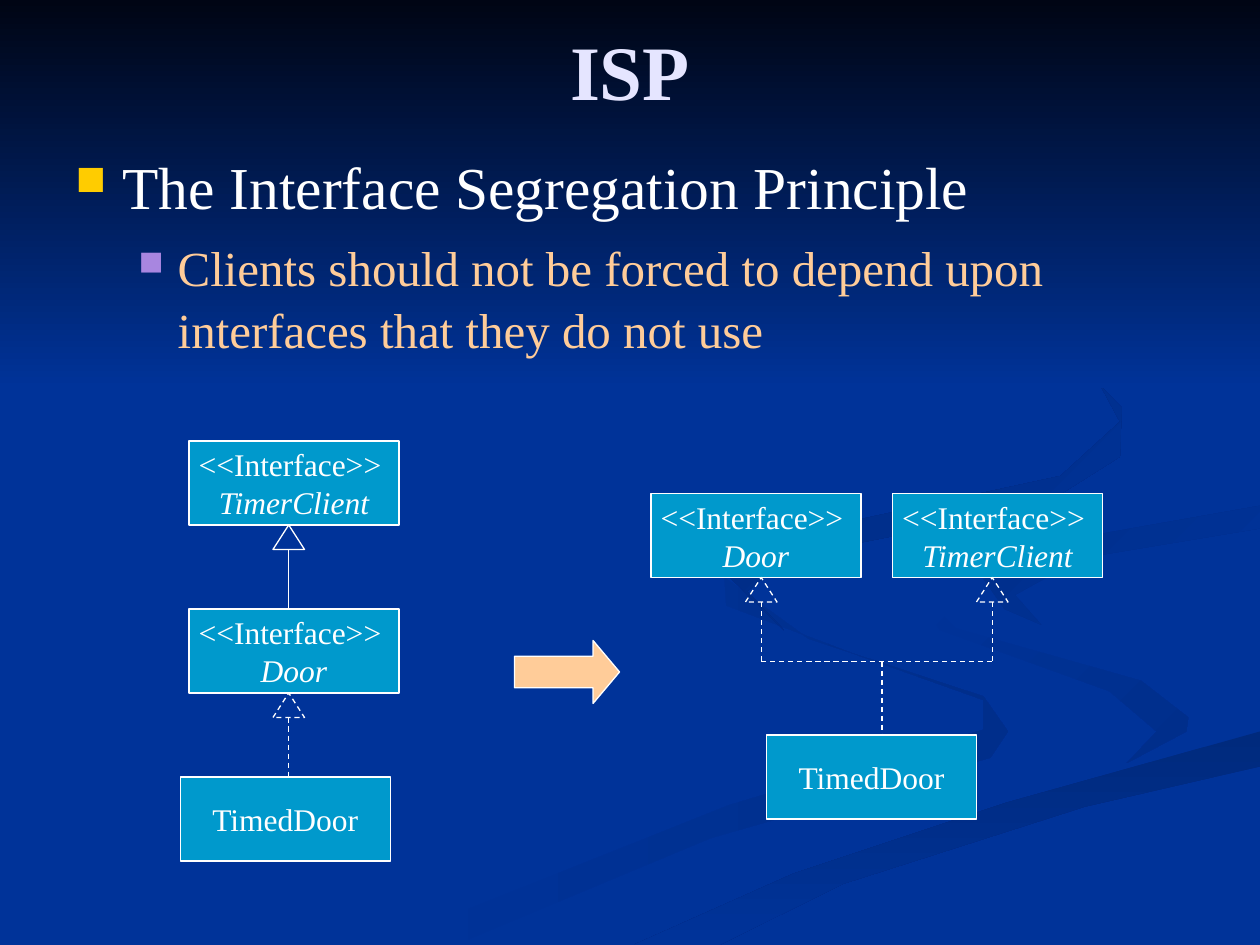
from lxml import etree
from pptx import Presentation
from pptx.dml.color import RGBColor
from pptx.enum.dml import MSO_LINE
from pptx.enum.shapes import MSO_CONNECTOR as CONNECTOR, MSO_SHAPE as SHAPE
from pptx.enum.text import MSO_ANCHOR as ANCHOR, PP_ALIGN as ALIGN
from pptx.oxml.ns import qn
from pptx.util import Pt

THEME = {
    "font": "Times New Roman",
    "background": "003399",
    "night": "000514",
    "ribbon": "002E8B",
    "dark_ribbon": "002A7D",
    "title": "E5E5FF",
    "white": "FFFFFF",
    "box": "0099CC",
    "peach": "FFCC99",
    "gold": "FFCC00",
    "violet": "A886E0",
    "title_size": 44,
    "point_size": 34,
    "detail_size": 28,
    "label_size": 18,
    "line": 0.75,
}


def color(name):
    return RGBColor.from_string(THEME[name])


def style_text(paragraph, size, name):
    for run in paragraph.runs:
        run.font.name = THEME["font"]
        run.font.size = Pt(THEME[size])
        run.font.color.rgb = color(name)


presentation = Presentation()
presentation.slide_width = Pt(720)
presentation.slide_height = Pt(540)
slide = presentation.slides.add_slide(presentation.slide_layouts[5])
shapes = slide.shapes
slide.background.fill.solid()
slide.background.fill.fore_color.rgb = color("background")

ribbons = [
    ("background", "ribbon", 0, [
        (562, 398), (462, 365), (414, 330), (415, 346), (489, 374), (562, 400), (562, 417),
        (417, 460), (216, 540), (260, 540), (406, 479), (566, 433), (576, 418)]),
    ("background", "ribbon", 45, [
        (679, 410), (652, 389), (546, 359), (521, 334), (537, 360), (634, 395), (661, 418),
        (644, 436), (678, 418)]),
    ("dark_ribbon", "background", 90, [
        (362, 540), (411, 540), (482, 505), (620, 461), (720, 438), (720, 418), (574, 459),
        (454, 499)]),
    ("ribbon", "background", 45, [
        (562, 331), (574, 348), (595, 357), (580, 340), (618, 319), (720, 302), (720, 289),
        (601, 310)]),
    ("dark_ribbon", "background", 45, [
        (492, 310), (594, 290), (640, 261), (641, 233), (607, 198), (549, 168), (626, 215),
        (640, 241), (606, 272), (467, 302), (416, 329), (448, 360), (427, 338), (449, 320)]),
    ("night", "background", 90, [(0, 0), (0, 222), (720, 222), (720, 0)]),
]
for start, end, angle, points in ribbons:
    builder = shapes.build_freeform(*points[0], scale=Pt(1))
    builder.add_line_segments(points[1:], close=True)
    ribbon = builder.convert_to_shape()
    ribbon.shadow.inherit = False
    ribbon.line.fill.background()
    ribbon.fill.gradient()
    ribbon.fill.gradient_angle = -angle % 360
    for stop, name, position in zip(ribbon.fill.gradient_stops, (start, end), (0, 1)):
        stop.color.rgb = color(name)
        stop.position = position

title = shapes.title
title.element.getparent().append(title.element)
title.left, title.top, title.width, title.height = Pt(36), Pt(12), Pt(648), Pt(56)
title.text_frame.text = "ISP"
title.text_frame.vertical_anchor = ANCHOR.MIDDLE
heading = title.text_frame.paragraphs[0]
heading.alignment = ALIGN.CENTER
style_text(heading, "title_size", "title")
heading.runs[0].font.bold = True

body = shapes.add_textbox(Pt(36), Pt(80), Pt(648), Pt(404))
body.text_frame.word_wrap = True
body.text_frame.text = (
    "The Interface Segregation Principle\n"
    "Clients should not be forced to depend upon interfaces that they do not use"
)
outline = [
    (0, 27, 27, 0, "gold", "point_size", "white"),
    (1, 58.5, 22.5, 7, "violet", "detail_size", "peach"),
]
for paragraph, (level, margin, hanging, before, bullet, size, name) in zip(
    body.text_frame.paragraphs, outline
):
    paragraph.level = level
    paragraph.line_spacing = 1.06
    paragraph.space_before = Pt(before)
    properties = paragraph._p.get_or_add_pPr()
    properties.set("marL", str(Pt(margin)))
    properties.set("indent", str(-Pt(hanging)))
    bullet_color = etree.SubElement(properties, qn("a:buClr"))
    etree.SubElement(bullet_color, qn("a:srgbClr"), val=THEME[bullet])
    etree.SubElement(properties, qn("a:buSzPct"), val="70000")
    etree.SubElement(properties, qn("a:buChar"), char="■")
    style_text(paragraph, size, name)

interface = "<<Interface>> \n"
boxes = [
    (108, 348, interface + "Door"),
    (108, 252, interface + "TimerClient"),
    (103, 444, "TimedDoor"),
    (372, 282, interface + "Door"),
    (510, 282, interface + "TimerClient"),
    (438, 420, "TimedDoor"),
]
for left, top, label in boxes:
    box = shapes.add_shape(SHAPE.RECTANGLE, Pt(left), Pt(top), Pt(120), Pt(48))
    box.shadow.inherit = False
    box.fill.solid()
    box.fill.fore_color.rgb = color("box")
    box.line.color.rgb = color("white")
    box.line.width = Pt(THEME["line"])
    box.text_frame.word_wrap = False
    box.text_frame.vertical_anchor = ANCHOR.MIDDLE
    box.text_frame.text = label
    for paragraph in box.text_frame.paragraphs:
        paragraph.alignment = ALIGN.CENTER
        style_text(paragraph, "label_size", "white")
    for paragraph in box.text_frame.paragraphs[1:]:
        paragraph.runs[0].font.italic = True

lines = [(435, 378, 567, 378, True), (504, 378, 504, 420, True)]
for center, top, dashed in [(165, 300, False), (165, 396, True), (567, 330, True), (435, 330, True)]:
    head = shapes.add_shape(SHAPE.ISOSCELES_TRIANGLE, Pt(center - 9), Pt(top), Pt(18), Pt(14))
    head.shadow.inherit = False
    head.fill.background()
    head.line.color.rgb = color("white")
    head.line.width = Pt(THEME["line"])
    if dashed:
        head.line.dash_style = MSO_LINE.DASH
    lines.append((center, top + 14, center, top + 48, dashed))

for x1, y1, x2, y2, dashed in lines:
    link = shapes.add_connector(CONNECTOR.STRAIGHT, Pt(x1), Pt(y1), Pt(x2), Pt(y2))
    link.line.color.rgb = color("white")
    link.line.width = Pt(THEME["line"])
    if dashed:
        link.line.dash_style = MSO_LINE.DASH
    etree.SubElement(link._element.spPr, qn("a:effectLst"))

arrow = shapes.add_shape(SHAPE.RIGHT_ARROW, Pt(294), Pt(366), Pt(60), Pt(36))
arrow.adjustments[0] = 0.5
arrow.adjustments[1] = 0.42
arrow.shadow.inherit = False
arrow.fill.solid()
arrow.fill.fore_color.rgb = color("peach")
arrow.line.color.rgb = color("white")
arrow.line.width = Pt(THEME["line"])

presentation.save("out.pptx")
